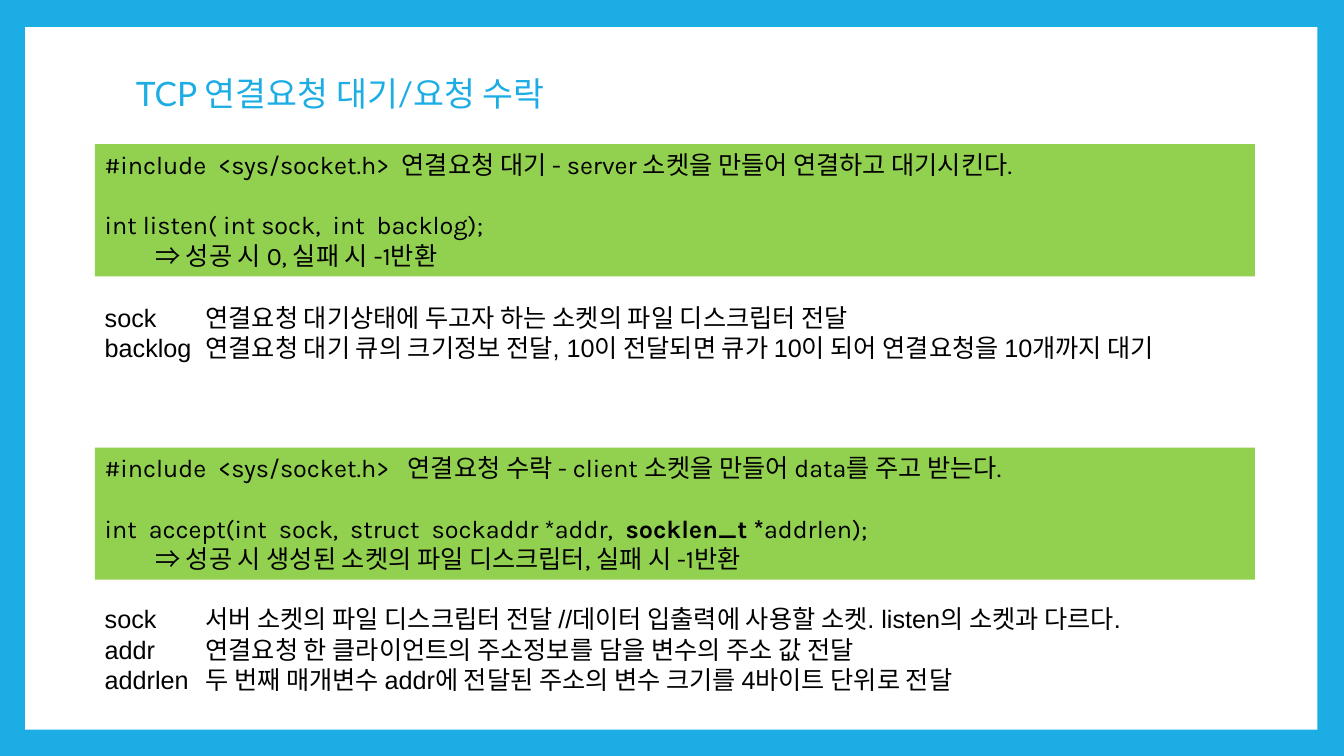
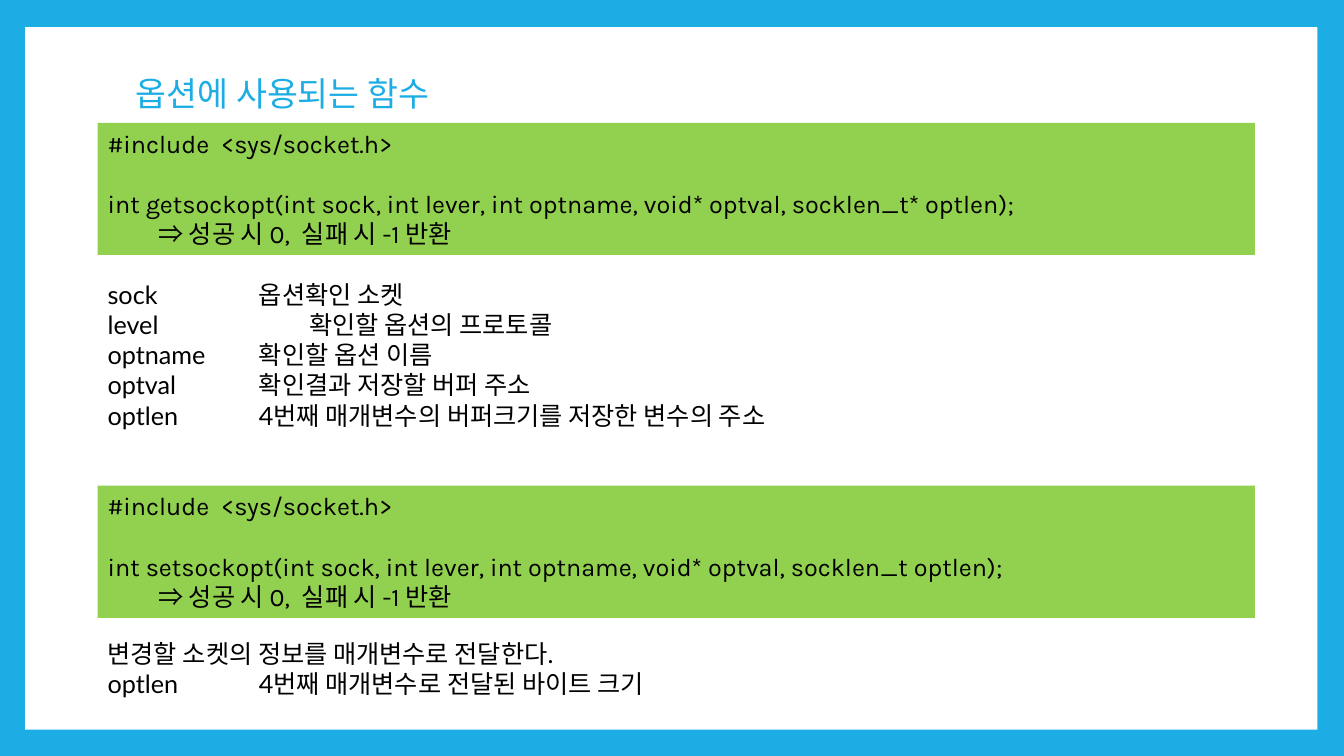
from pptx import Presentation
from pptx import util as u
from pptx.dml.color import RGBColor
from pptx.enum import shapes, text
from pptx.oxml.ns import qn
from lxml import etree

COLORS = {"frame": "1CADE4", "panel": "FFFFFF", "code": "92D050", "ink": "000000"}
LINE = 21.6    # height of one 18 pt line
INDENT = 36    # indent of the return-value line
RIGHT = 896.4  # right edge of the content


def add_box(s, left, top, width, height, fill=None):
    """Rectangle when a fill is named, otherwise a text box."""
    area = [u.Pt(v) for v in (left, top, width, height)]
    if fill:
        sp = s.shapes.add_shape(shapes.MSO_SHAPE.RECTANGLE, *area)
        sp.shadow.inherit = False
        sp.fill.solid()
        sp.fill.fore_color.rgb = RGBColor.from_string(COLORS[fill])
        sp.line.fill.background()
    else:
        sp = s.shapes.add_textbox(*area)
    sp.text_frame.word_wrap = True
    sp.text_frame.vertical_anchor = text.MSO_ANCHOR.TOP
    return sp.text_frame


def add_line(tf, runs, font, size=18, color="ink", before=0, indent=0, tab=0):
    """One paragraph; runs is a string or a list of (string, bold)."""
    first = tf.paragraphs[0]
    p = tf.add_paragraph() if first.runs else first
    p.alignment = text.PP_ALIGN.LEFT
    if before:
        p.space_before = u.Pt(before)
    pPr = p._p.get_or_add_pPr()
    if indent:
        pPr.set("marL", str(u.Pt(indent)))
    if tab:
        tabs = etree.SubElement(pPr, qn("a:tabLst"))
        etree.SubElement(tabs, qn("a:tab"), pos=str(u.Pt(tab)), algn="l")
    for words, bold in [(runs, False)] if isinstance(runs, str) else runs:
        r = p.add_run()
        r.text = words
        r.font.name, r.font.size, r.font.bold = font, u.Pt(size), bold
        r.font.color.rgb = RGBColor.from_string(COLORS[color])
    return p


# Each function: code top, include line, prototype, result, notes top,
# notes as (text, tab position)
SLIDES = [
    {
        "title": "TCP 연결요청 대기/요청 수락", "left": 67.7, "font": "Arial",
        "functions": [
            (103, "#include  <sys/socket.h>  연결요청 대기 - server 소켓을 만들어 연결하고 대기시킨다.",
             "int listen( int sock,  int  backlog);",
             "⇒ 성공 시 0, 실패 시 -1반환",
             212.4, [
                 ("sock\t연결요청 대기상태에 두고자 하는 소켓의 파일 디스크립터 전달", 72),
                 ("backlog\t연결요청 대기 큐의 크기정보 전달, 10이 전달되면 큐가 10이 되어 연결요청을 10개까지 대기", 72),
             ]),
            (319.7, "#include  <sys/socket.h>   연결요청 수락 - client 소켓을 만들어 data를 주고 받는다.",
             [("int  accept(int  sock,  struct  sockaddr *addr,  ", False),
              ("socklen_t *", True), ("addrlen);", False)],
             "⇒ 성공 시 생성된 소켓의 파일 디스크립터, 실패 시 -1반환",
             427.7, [
                 ("sock\t서버 소켓의 파일 디스크립터 전달 //데이터 입출력에 사용할 소켓. listen의 소켓과 다르다.", 72),
                 ("addr\t연결요청 한 클라이언트의 주소정보를 담을 변수의 주소 값 전달", 72),
                 ("addrlen\t두 번째 매개변수 addr에 전달된 주소의 변수 크기를 4바이트 단위로 전달", 72),
             ]),
        ],
    },
    {
        "title": "옵션에 사용되는 함수", "left": 69.8, "font": "Lato",
        "functions": [
            (87.8, "#include  <sys/socket.h>",
             "int getsockopt(int sock, int lever, int optname, void* optval, socklen_t* optlen);",
             "⇒ 성공 시 0,  실패 시 -1 반환",
             195.8, [
                 ("sock\t옵션확인 소켓", 108),
                 ("level\t확인할 옵션의 프로토콜", 144),
                 ("optname\t확인할 옵션 이름", 108),
                 ("optval\t확인결과 저장할 버퍼 주소", 108),
                 ("optlen\t4번째 매개변수의 버퍼크기를 저장한 변수의 주소", 108),
             ]),
            (347, "#include  <sys/socket.h>",
             "int setsockopt(int sock, int lever, int optname, void* optval, socklen_t optlen);",
             "⇒ 성공 시 0,  실패 시 -1 반환",
             452.2, [
                 ("변경할 소켓의 정보를 매개변수로 전달한다.", 0),
                 ("optlen\t4번째 매개변수로 전달된 바이트 크기", 108),
             ]),
        ],
    },
]

prs = Presentation()
prs.slide_width, prs.slide_height = u.Pt(960), u.Pt(540)

# Shared frame colour
background = prs.slide_master.background.fill
background.solid()
background.fore_color.rgb = RGBColor.from_string(COLORS["frame"])

for page in SLIDES:
    s = prs.slides.add_slide(prs.slide_layouts[6])
    left, width = page["left"], RIGHT - page["left"]

    # Panel and title
    add_box(s, 18, 19.4, 923, 501.9, "panel")
    tf = add_box(s, 90, 48.2, 777.6, 40.3)
    tf.vertical_anchor = text.MSO_ANCHOR.MIDDLE
    add_line(tf, page["title"], "Lato", 24, "frame").line_spacing = 0.9

    for code_top, include, prototype, result, notes_top, notes in page["functions"]:
        # Declaration
        tf = add_box(s, left, code_top, width, 4 * LINE + 8, "code")
        add_line(tf, include, "Karla")
        add_line(tf, prototype, "Karla", before=LINE)
        add_line(tf, result, "Karla", indent=INDENT)

        # Parameters
        tf = add_box(s, left, notes_top, width, len(notes) * LINE + 8)
        for words, tab in notes:
            add_line(tf, words, page["font"], tab=tab)

prs.save("out.pptx")
